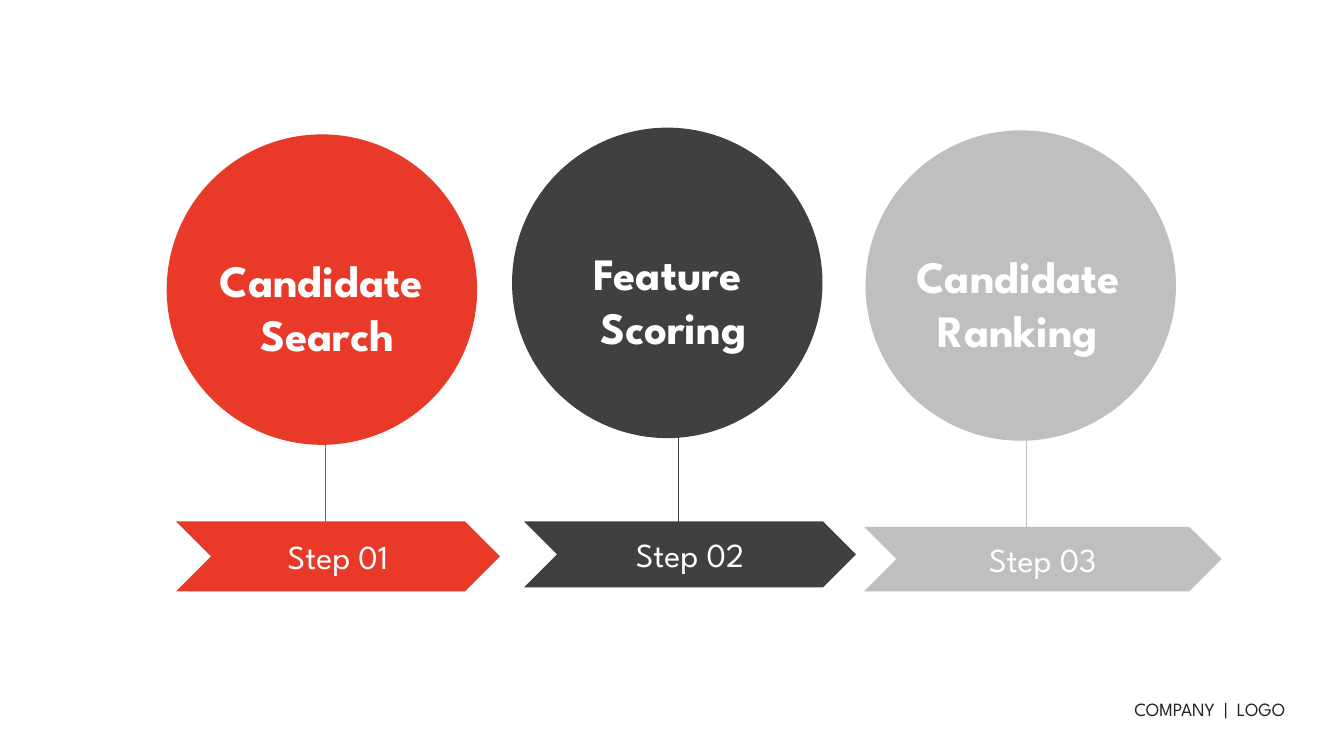
from lxml import etree
from pptx import Presentation
from pptx.dml.color import RGBColor
from pptx.enum.shapes import MSO_CONNECTOR, MSO_SHAPE
from pptx.enum.text import MSO_ANCHOR, MSO_AUTO_SIZE, PP_ALIGN
from pptx.oxml.ns import qn
from pptx.util import Inches, Pt

CIRCLE, CHEVRON = MSO_SHAPE.OVAL, MSO_SHAPE.CHEVRON
STRAIGHT = MSO_CONNECTOR.STRAIGHT
CENTER, RIGHT = PP_ALIGN.CENTER, PP_ALIGN.RIGHT
MIDDLE, TOP = MSO_ANCHOR.MIDDLE, MSO_ANCHOR.TOP
GROW = MSO_AUTO_SIZE.SHAPE_TO_FIT_TEXT

# Content: circle is (left, top), stem is (x, top, bottom),
# arrow is (left, top, width, height), label is (left, width); all in inches
STEPS = [
    {"name": ["Candidate ", "Search"], "step": "Step 01", "color": "red",
     "circle": (1.24, 1.0), "stem": (2.42, 3.31, 4.22),
     "arrow": (1.31, 3.88, 2.41, 0.52), "label": (1.35, 2.17)},
    {"name": ["Feature ", "Scoring"], "step": "Step 02", "color": "dark",
     "circle": (3.81, 0.95), "stem": (5.05, 3.21, 4.22),
     "arrow": (3.9, 3.88, 2.47, 0.49), "label": (4.2, 1.62)},
    {"name": ["Candidate", "Ranking"], "step": "Step 03", "color": "gray",
     "circle": (6.44, 0.97), "stem": (7.64, 2.87, 4.18),
     "arrow": (6.43, 3.92, 2.66, 0.48), "label": (6.54, 2.07)},
]
FOOTER = "COMPANY  |  LOGO"

# Theme and shared sizes
THEME = {
    "font": "League Spartan",
    "colors": {"red": "E93929", "dark": "404040", "gray": "BFBFBF",
               "white": "FFFFFF", "ink": "242424"},
    "name": {"size": Pt(24), "bold": True},
    "step": {"size": Pt(18)},
    "footer": {"size": Pt(10)},
    "line": Pt(0.75),
}
SLIDE_WIDTH = 10
SLIDE_HEIGHT = SLIDE_WIDTH * 9 / 16
DIAMETER = 2.31
LABEL_DROP, LABEL_HEIGHT = 0.83, 0.91
FOOTER_BOX = (7.61, 5.09, 2.05, 0.31)


def color(name):
    return RGBColor.from_string(THEME["colors"][name])


def write(shape, lines, style, color_name="white", align=CENTER,
          anchor=TOP, spacing=None):
    frame = shape.text_frame
    frame.word_wrap = True
    frame.vertical_anchor = anchor
    for index, line in enumerate(lines):
        paragraph = frame.add_paragraph() if index else frame.paragraphs[0]
        paragraph.alignment = align
        paragraph.line_spacing = spacing
        run = paragraph.add_run()
        run.text = line
        run.font.name = THEME["font"]
        run.font.color.rgb = color(color_name)
        for attribute, value in THEME[style].items():
            setattr(run.font, attribute, value)


def add_solid(slide, kind, box, color_name):
    shape = slide.shapes.add_shape(kind, *map(Inches, box))
    shape.shadow.inherit = False
    shape.fill.solid()
    shape.fill.fore_color.rgb = color(color_name)
    shape.line.fill.background()
    return shape


def add_text(slide, box, lines, style, **options):
    shape = slide.shapes.add_textbox(*map(Inches, box))
    write(shape, lines, style, **options)
    shape.text_frame.auto_size = GROW


def add_stem(slide, x, top, bottom, color_name):
    stem = slide.shapes.add_connector(
        STRAIGHT, *map(Inches, (x, top, x, bottom)))
    stem.line.color.rgb = color(color_name)
    stem.line.width = THEME["line"]
    line = stem._element.spPr.find(qn("a:ln"))
    etree.SubElement(line, qn("a:tailEnd"), type="oval")
    etree.SubElement(stem._element.spPr, qn("a:effectLst"))


def main():
    presentation = Presentation()
    presentation.slide_width = Inches(SLIDE_WIDTH)
    presentation.slide_height = Inches(SLIDE_HEIGHT)
    slide = presentation.slides.add_slide(presentation.slide_layouts[6])

    # Stems lie behind the circles and arrows
    for step in STEPS:
        add_stem(slide, *step["stem"], step["color"])

    # Circle, arrow and name of each step
    for step in STEPS:
        add_solid(slide, CIRCLE, (*step["circle"], DIAMETER, DIAMETER),
                  step["color"])
        arrow = add_solid(slide, CHEVRON, step["arrow"], step["color"])
        write(arrow, [step["step"]], "step", anchor=MIDDLE)
        left, width = step["label"]
        label_top = step["circle"][1] + LABEL_DROP
        add_text(slide, (left, label_top, width, LABEL_HEIGHT),
                 step["name"], "name")

    # Footer
    add_text(slide, FOOTER_BOX, [FOOTER], "footer", color_name="ink",
             align=RIGHT, spacing=1.3)

    presentation.save("out.pptx")


if __name__ == "__main__":
    main()
